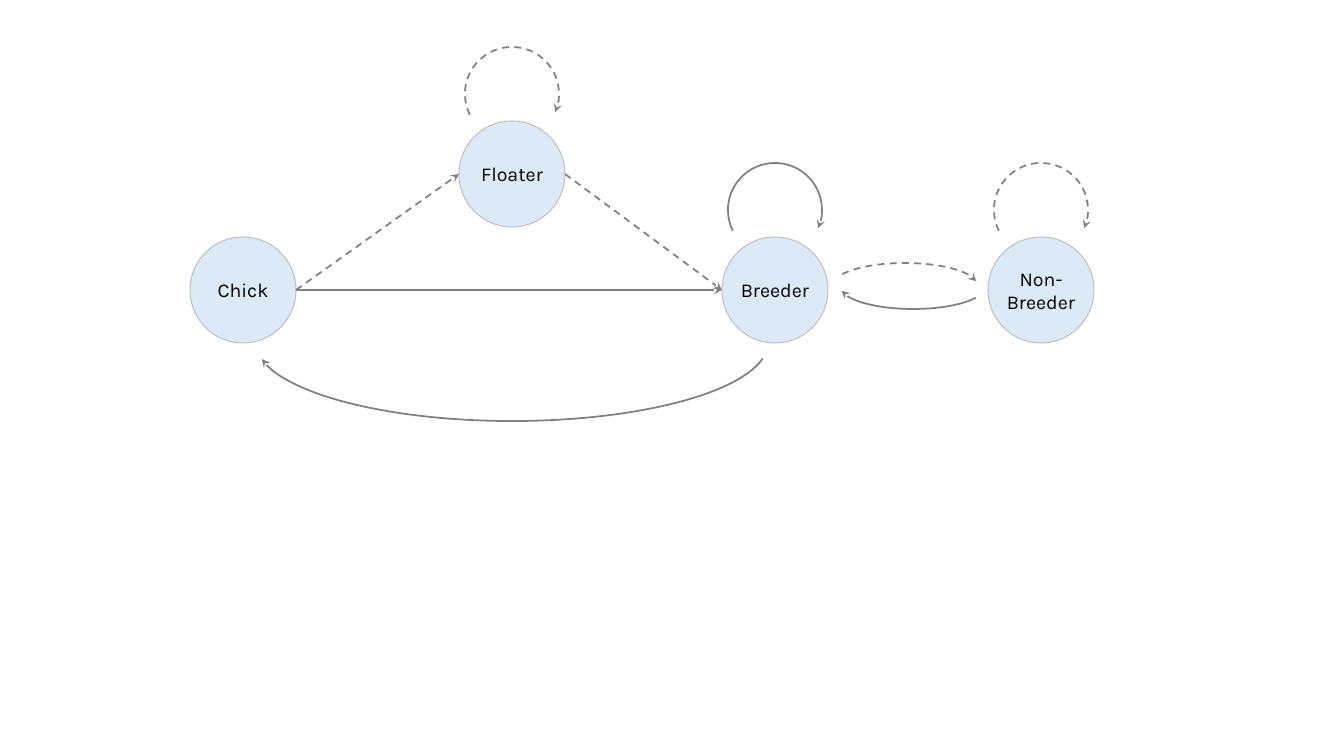
from lxml.etree import SubElement
from pptx import Presentation
from pptx.dml.color import RGBColor
from pptx.enum.dml import MSO_LINE
from pptx.enum.shapes import MSO_CONNECTOR, MSO_SHAPE
from pptx.enum.text import MSO_ANCHOR, PP_ALIGN
from pptx.oxml.ns import qn
from pptx.util import Pt

PX = 914400 / 100.8
SLIDE_SIZE = (1344, 756)
DIAMETER = 106
LOOP_DIAMETER = 94
LOOP_RISE = 74
LOOP_ANGLES = (153.7, 22.78)

# stage: left, top
STAGES = {
    "Chick": (190, 237),
    "Floater": (459, 121),
    "Breeder": (722, 237),
    "Non-Breeder": (988, 237),
}
# from, to, dashed
TRANSITIONS = [
    ("Chick", "Floater", True),
    ("Floater", "Breeder", True),
    ("Chick", "Breeder", False),
]
# stage, dashed
STAYS = [("Floater", True), ("Breeder", False), ("Non-Breeder", True)]
# box, start and end angle, rotation, dashed
CURVES = [
    ((832, 263, 146, 46), (190.65, 356.22), 0, True),
    ((840, 263, 146, 46), (190.65, 356.22), 180, False),
    ((256, 264, 512, 157), (183.66, 356.22), 180, False),
]


def px(*lengths):
    return [round(length * PX) for length in lengths]


def color(hex_string):
    return RGBColor.from_string(hex_string)


def style_arrow(line, dashed):
    line.color.rgb = color("808080")
    line.width = Pt(1.25)
    if dashed:
        line.dash_style = MSO_LINE.DASH
    SubElement(line._get_or_add_ln(), qn("a:tailEnd"), type="stealth")


def add_stage(shapes, name, left, top):
    circle = shapes.add_shape(MSO_SHAPE.OVAL, *px(left, top, DIAMETER, DIAMETER))
    circle.shadow.inherit = False
    circle.fill.solid()
    circle.fill.fore_color.rgb = color("DCEAF7")
    circle.line.color.rgb = color("BFBFBF")
    circle.line.width = Pt(0.75)
    frame = circle.text_frame
    frame.margin_left = frame.margin_right = frame.margin_top = frame.margin_bottom = 0
    frame.word_wrap = True
    frame.vertical_anchor = MSO_ANCHOR.MIDDLE
    label = frame.paragraphs[0]
    label.alignment = PP_ALIGN.CENTER
    run = label.add_run()
    run.text = name
    run.font.name = "Karla"
    run.font.size = Pt(14)
    run.font.color.rgb = color("000000")


def add_transition(shapes, source, target, dashed):
    """Draw a straight arrow from the right of source to the left of target."""
    (x1, y1), (x2, y2) = STAGES[source], STAGES[target]
    radius = DIAMETER // 2
    arrow = shapes.add_connector(
        MSO_CONNECTOR.STRAIGHT, *px(x1 + DIAMETER, y1 + radius, x2, y2 + radius))
    style_arrow(arrow.line, dashed)
    SubElement(arrow._element.spPr, qn("a:effectLst"))


def add_curve(shapes, box, angles, rotation, dashed):
    arc = shapes.add_shape(MSO_SHAPE.ARC, *px(*box))
    arc.shadow.inherit = False
    arc.fill.background()
    arc.rotation = rotation
    for i, degrees in enumerate(angles):
        arc.adjustments[i] = degrees * 0.6  # 60000ths of a degree, over 100000
    style_arrow(arc.line, dashed)


def main():
    prs = Presentation()
    prs.slide_width, prs.slide_height = px(*SLIDE_SIZE)
    shapes = prs.slides.add_slide(prs.slide_layouts[6]).shapes
    for name, (left, top) in STAGES.items():
        add_stage(shapes, name, left, top)
    for transition in TRANSITIONS:
        add_transition(shapes, *transition)
    inset = (DIAMETER - LOOP_DIAMETER) // 2
    for name, dashed in STAYS:
        left, top = STAGES[name]
        box = (left + inset, top - LOOP_RISE, LOOP_DIAMETER, LOOP_DIAMETER)
        add_curve(shapes, box, LOOP_ANGLES, 0, dashed)
    for curve in CURVES:
        add_curve(shapes, *curve)
    prs.save("out.pptx")


if __name__ == "__main__":
    main()
